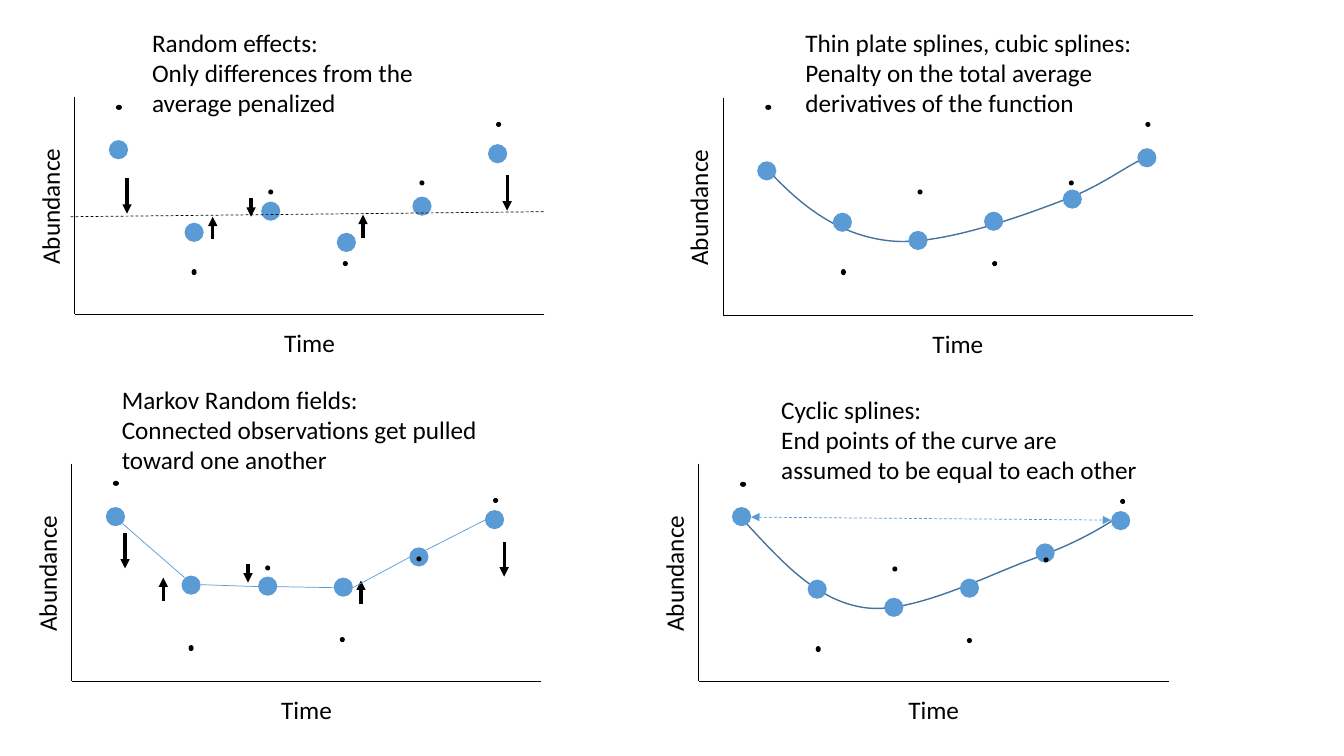
import pptx
import pptx.util
import pptx.dml.color
import pptx.enum.dml
import pptx.enum.shapes
import pptx.enum.text
from pptx.oxml.ns import qn
from lxml import etree

Inches = pptx.util.Inches
BLACK, BLUE, NAVY = "000000", "5B9BD5", "43739E"
AXIS_WIDTH, AXIS_HEIGHT, FIT_SIZE = 4.66, 2.16, 0.19
FIT_OFFSETS = (0, 0.75, 1.51, 2.26, 3.01, 3.76)
OBSERVED = (
    (0, 0, 0.06, 0.05), (0.75, 1.63, 0.05, 0.06), (1.51, 0.84, 0.05, 0.05),
    (2.25, 1.55, 0.05, 0.05), (3.01, 0.75, 0.05, 0.05), (3.77, 0.17, 0.05, 0.05),
)
PANELS = (
    {
        "caption": ("Random effects: ", "Only differences from the average penalized"),
        "caption_at": (1.41, 0.22, 3.34, 1.01),
        "origin": (0.74, 3.12),
        "observed_at": (1.15, 1.04),
        "fit_left": 1.08,
        "fit_tops": (1.39, 2.21, 2.0, 2.31, 1.95, 1.43),
        "pulls": ((1.26, 1.77, 2.12), (2.11, 2.37, 2.15), (2.49, 1.96, 2.15),
                  (3.6, 2.36, 2.13), (5.03, 1.74, 2.09)),
        "average": ((0.7, 2.15), (5.4, 2.1)),
    },
    {
        "caption": ("Thin plate splines, cubic splines: ",
                    "Penalty on the total average derivatives of the function"),
        "caption_at": (7.89, 0.22, 3.75, 1.01),
        "origin": (7.17, 3.13),
        "observed_at": (7.59, 1.04),
        "fit_left": 7.51,
        "fit_offsets": (0, 0.75, 1.5, 2.25, 3.03, 3.77),
        "fit_tops": (1.6, 2.11, 2.29, 2.1, 1.88, 1.47),
        "curve": ((7.62, 1.69), (7.98, 2.08), (8.35, 2.34), (8.83, 2.39), (9.31, 2.44),
                  (10.09, 2.16), (10.51, 2.0), (10.93, 1.85), (11.17, 1.64), (11.39, 1.55)),
        "curve_height": 0.85,
    },
    {
        "caption": ("Markov Random fields:",
                    "Connected observations get pulled toward one another"),
        "caption_at": (1.11, 3.76, 4.1, 1.01),
        "origin": (0.71, 6.76),
        "observed_at": (1.12, 4.77),
        "fit_left": 1.05,
        "fit_tops": (5.03, 5.71, 5.72, 5.73, 5.43, 5.06),
        "pulls": ((1.24, 5.29, 5.64), (1.62, 5.96, 5.73), (2.46, 5.6, 5.78),
                  (3.58, 5.99, 5.76), (5.0, 5.38, 5.72)),
        "links": (((1.21, 5.19), (1.83, 5.73)), ((1.99, 5.8), (2.56, 5.82)),
                  ((3.31, 5.83), (2.74, 5.82)), ((4.06, 5.53), (3.5, 5.83)),
                  ((4.22, 5.46), (4.81, 5.16))),
    },
    {
        "caption": ("Cyclic splines: ",
                    "End points of the curve are assumed to be equal to each other"),
        "caption_at": (7.65, 3.86, 3.75, 1.01),
        "origin": (6.93, 6.76),
        "observed_at": (7.34, 4.78),
        "fit_left": 7.26,
        "fit_tops": (5.03, 5.75, 5.93, 5.74, 5.39, 5.07),
        "curve": ((7.4, 5.19), (7.76, 5.58), (8.11, 5.97), (8.59, 6.03), (9.06, 6.09),
                  (9.81, 5.7), (10.23, 5.55), (10.65, 5.4), (10.89, 5.26), (11.12, 5.11)),
        "curve_height": 0.92,
        "equal_ends": ((7.45, 5.13), (11.02, 5.16)),
    },
)


def color(value):
    return pptx.dml.color.RGBColor.from_string(value)


def apply(target, formats):
    for name, value in formats.items():
        setattr(target, name, value)


def add_text(lines, place, wrap=True, rotation=0):
    box = page.shapes.add_textbox(*map(Inches, place))
    box.rotation = rotation
    frame = box.text_frame
    apply(frame, {"word_wrap": wrap,
                  "auto_size": pptx.enum.text.MSO_AUTO_SIZE.SHAPE_TO_FIT_TEXT})
    for index, line in enumerate(lines):
        para = frame.add_paragraph() if index else frame.paragraphs[0]
        span = para.add_run()
        span.text = line
        apply(span.font, {"name": "Calibri", "size": pptx.util.Pt(18)})
        span.font.color.rgb = color(BLACK)


def add_line(start, end, tint=BLACK, width=0.5, dashed=False, ends=()):
    line = page.shapes.add_connector(
        pptx.enum.shapes.MSO_CONNECTOR.STRAIGHT, *map(Inches, (*start, *end)))
    line.line.color.rgb = color(tint)
    line.line.width = pptx.util.Pt(width)
    if dashed:
        line.line.dash_style = pptx.enum.dml.MSO_LINE.DASH
    properties = line._element.spPr
    for end_name in ends:
        etree.SubElement(properties.find(qn("a:ln")), qn("a:" + end_name), type="triangle")
    etree.SubElement(properties, qn("a:effectLst"))


def add_dot(shapes, place, tint):
    dot = shapes.add_shape(pptx.enum.shapes.MSO_SHAPE.OVAL, *map(Inches, place))
    dot.shadow.inherit = False
    dot.fill.solid()
    dot.fill.fore_color.rgb = color(tint)
    dot.line.fill.background()


def add_curve(controls, height):
    start, *rest = [tuple(map(Inches, point)) for point in controls]
    builder = page.shapes.build_freeform(*start)
    builder.add_line_segments(rest, close=False)
    curve = builder.convert_to_shape()
    outline = next(curve._element.iter(qn("a:path")))
    segments = outline.findall(qn("a:lnTo"))
    for first in range(0, len(segments), 3):
        bend = etree.SubElement(outline, qn("a:cubicBezTo"))
        for segment in segments[first:first + 3]:
            bend.append(segment[0])
            outline.remove(segment)
    curve.height = Inches(height)
    outline.set("h", str(Inches(height)))
    curve.shadow.inherit = False
    curve.fill.background()
    curve.line.color.rgb = color(NAVY)
    curve.line.width = pptx.util.Pt(1)


def add_panel(panel):
    left, bottom = panel["origin"]
    if "curve" in panel:
        add_curve(panel["curve"], panel["curve_height"])
    add_line((left, bottom - AXIS_HEIGHT), (left, bottom))
    add_line((left + AXIS_WIDTH, bottom), (left, bottom))
    add_text(["Time"], (left + 1.98, bottom + 0.08, 0.71, 0.4), wrap=False)
    add_text(["Abundance"], (left - 0.93, bottom - 1.28, 1.37, 0.4), wrap=False, rotation=270)
    for offset, top in zip(panel.get("fit_offsets", FIT_OFFSETS), panel["fit_tops"]):
        add_dot(page.shapes, (panel["fit_left"] + offset, top, FIT_SIZE, FIT_SIZE), BLUE)
    for x, start, end in panel.get("pulls", ()):
        add_line((x, start), (x, end), width=2.25, ends=["tailEnd"])
    for start, end in panel.get("links", ()):
        add_line(start, end, BLUE)
    if "average" in panel:
        add_line(*panel["average"], dashed=True)
    add_text(panel["caption"], panel["caption_at"])
    if "equal_ends" in panel:
        add_line(*panel["equal_ends"], BLUE, dashed=True, ends=["headEnd", "tailEnd"])
    observed_left, observed_top = panel["observed_at"]
    observations = page.shapes.add_group_shape()
    for x, y, width, height in OBSERVED:
        add_dot(observations.shapes, (observed_left + x, observed_top + y, width, height), BLACK)


deck = pptx.Presentation()
apply(deck, {"slide_width": Inches(13.33), "slide_height": Inches(7.5)})
page = deck.slides.add_slide(deck.slide_layouts[6])
for panel in PANELS:
    add_panel(panel)
deck.save("out.pptx")
